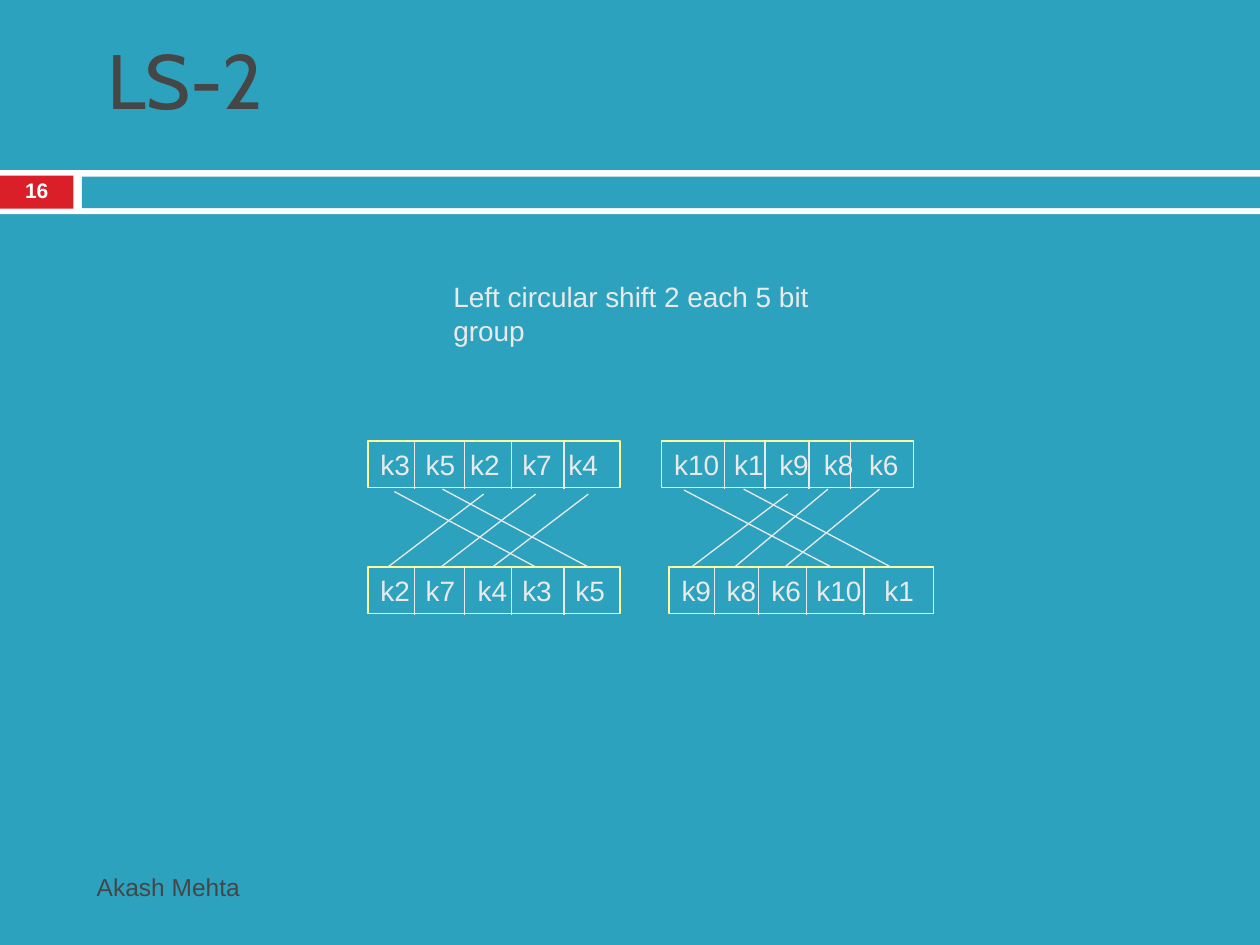
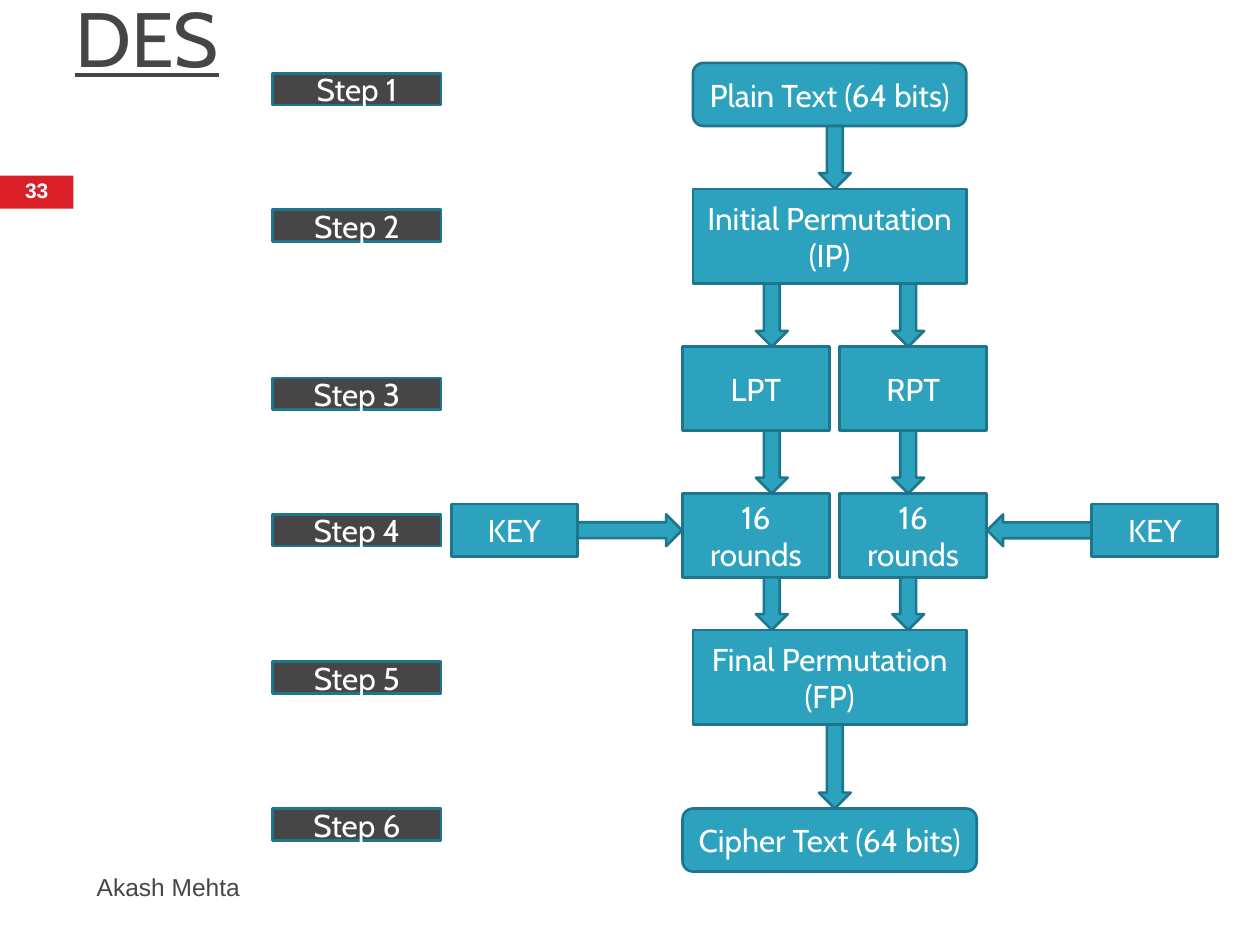
from dataclasses import dataclass

from lxml import etree
from pptx import Presentation
from pptx.dml.color import RGBColor
from pptx.enum import shapes, text
from pptx.oxml import ns
from pptx.util import Cm, Pt


@dataclass(frozen=True)
class Theme:
    teal: str = "2DA2BF"
    edge: str = "1E768C"
    red: str = "DA1F28"
    dark: str = "464646"
    white: str = "FFFFFF"
    pale: str = "EAEAEA"
    yellow: str = "FFFF99"
    head: str = "Cabin"
    body: str = "Arial"
    title_pt: int = 44
    step_pt: int = 18
    bit_pt: int = 16
    footer_pt: int = 14
    number_pt: int = 12
    thin: float = 0.75
    thick: float = 1.5


T = Theme()
KIND = shapes.MSO_SHAPE
CENTER = text.PP_ALIGN.CENTER
MIDDLE = text.MSO_ANCHOR.MIDDLE
TOP = text.MSO_ANCHOR.TOP

AUTHOR = "Akash Mehta"
SHIFT_NOTE = "Left circular shift 2 each 5 bit group"

IN_Y, OUT_Y, BIT_H = 8.89, 11.43, 0.94
LEFT_CUTS = [8.36, 9.37, 10.31, 11.37]
BIT_GROUPS = [
    dict(bits="k3 k5 k2 k7 k4", x=7.42, y=IN_Y, w=5.08,
         tabs=[0.91, 1.81, 2.86, 3.79], cuts=LEFT_CUTS),
    dict(bits="k2 k7 k4 k3 k5", x=7.42, y=OUT_Y, w=5.08,
         tabs=[0.91, 1.96, 2.86, 3.93], cuts=LEFT_CUTS),
    dict(bits="k10 k1 k9 k8 k6", x=13.34, y=IN_Y, w=5.08,
         tabs=[1.21, 2.12, 3.02, 3.93], cuts=[14.6, 15.42, 16.31, 17.15]),
    dict(bits="k9 k8 k6 k10 k1", x=13.49, y=OUT_Y, w=5.33,
         tabs=[0.91, 1.81, 2.72, 4.09], cuts=[14.4, 15.29, 16.26, 17.42]),
]
BIT_MOVES = [
    (9.75, 9.96, 7.82), (10.8, 9.96, 8.89), (11.86, 9.96, 9.93),
    (7.95, 9.91, 10.8), (8.92, 9.86, 11.86),
    (15.88, 9.96, 13.94), (16.69, 9.86, 14.81), (17.73, 9.86, 15.82),
    (13.79, 9.88, 16.76), (14.99, 9.86, 17.96),
]

WIDE = [(13.97, 5.51)]
PAIR = [(13.76, 2.96), (16.93, 2.96)]
STAGES = [
    (1.27, 1.27, KIND.ROUNDED_RECTANGLE, WIDE, ["Plain Text (64 bits)"]),
    (3.81, 1.91, KIND.RECTANGLE, WIDE, ["Initial Permutation (IP)"]),
    (6.99, 1.69, KIND.RECTANGLE, PAIR, ["LPT", "RPT"]),
    (9.95, 1.69, KIND.RECTANGLE, PAIR, ["16 rounds", "16 rounds"]),
    (12.7, 1.91, KIND.RECTANGLE, WIDE, ["Final Permutation (FP)"]),
    (16.3, 1.27, KIND.ROUNDED_RECTANGLE, [(13.76, 5.93)], ["Cipher Text (64 bits)"]),
]
STEP_TOPS = [1.48, 4.23, 7.62, 10.37, 13.34, 16.3]
SINGLE_ARROW = [16.51]
PAIR_ARROWS = [15.24, 17.99]
KEYS = [(9.1, 11.64, 0), (22.01, 19.9, 180)]
ARROW = 0.64


def write(s, words, size, color, font, align=None, anchor=MIDDLE,
          tabs=(), spacing=None, bold=None, underline=None):
    tf = s.text_frame
    tf.word_wrap = True
    tf.vertical_anchor = anchor
    p = tf.paragraphs[0]
    p.text = words
    p.alignment = align
    p.line_spacing = spacing
    if tabs:
        stops = etree.SubElement(p._p.get_or_add_pPr(), ns.qn("a:tabLst"))
        for pos in tabs:
            etree.SubElement(stops, ns.qn("a:tab"), pos=str(Cm(pos)), algn="l")
    f = p.font
    f.size, f.name, f.bold, f.underline = Pt(size), font, bold, underline
    f.color.rgb = RGBColor.from_string(color)


def add_text(slide, box, *args, **style):
    write(slide.shapes.add_textbox(*map(Cm, box)), *args, **style)


def add_box(slide, kind, box, fill=None, line=None, width=T.thick):
    s = slide.shapes.add_shape(kind, *map(Cm, box))
    s.shadow.inherit = False
    if fill:
        s.fill.solid()
        s.fill.fore_color.rgb = RGBColor.from_string(fill)
    else:
        s.fill.background()
    if line:
        s.line.color.rgb = RGBColor.from_string(line)
        s.line.width = Pt(width)
    else:
        s.line.fill.background()
    return s


def add_line(slide, x1, y1, x2, y2):
    c = slide.shapes.add_connector(
        shapes.MSO_CONNECTOR.STRAIGHT, Cm(x1), Cm(y1), Cm(x2), Cm(y2))
    c.line.color.rgb = RGBColor.from_string(T.pale)
    c.line.width = Pt(T.thin)
    etree.SubElement(c._element.spPr, ns.qn("a:effectLst"))


def add_node(slide, kind, box, words, fill=T.teal):
    s = add_box(slide, kind, box, fill, T.edge)
    write(s, words, T.step_pt, T.white, T.head, CENTER)


def start_slide(prs, background, title, title_box, number, band=False, underline=None):
    slide = prs.slides.add_slide(prs.slide_layouts[6])
    slide.background.fill.solid()
    slide.background.fill.fore_color.rgb = RGBColor.from_string(background)
    if band:
        add_box(slide, KIND.RECTANGLE, (0, 3.43, 25.4, 0.89), T.white)
        add_box(slide, KIND.RECTANGLE, (1.65, 3.56, 23.75, 0.64), T.teal)
    add_text(slide, title_box, title, T.title_pt, T.dark, T.head, underline=underline)
    badge = add_box(slide, KIND.RECTANGLE, (0, 3.54, 1.48, 0.67), T.red)
    write(badge, number, T.number_pt, T.white, T.body, CENTER, spacing=0.8, bold=True)
    add_text(slide, (1.7, 17.36, 15.06, 1.02), AUTHOR, T.footer_pt, T.dark, T.body)
    return slide


def build_shift(prs):
    slide = start_slide(prs, T.teal, "LS-2", (1.91, 0, 21.59, 3.18), "16", band=True)
    for g in BIT_GROUPS:
        s = add_box(slide, KIND.RECTANGLE, (g["x"], g["y"], g["w"], BIT_H),
                    line=T.yellow, width=T.thin)
        write(s, "\t".join(g["bits"].split()), T.bit_pt, T.pale, T.body,
              text.PP_ALIGN.LEFT, TOP, tabs=g["tabs"])
        for x in g["cuts"]:
            add_line(slide, x, g["y"], x, g["y"] + BIT_H + 0.02)
    add_text(slide, (8.89, 5.51, 8.89, 1.63), SHIFT_NOTE,
             T.bit_pt, T.pale, T.body, anchor=TOP)
    for x1, y1, x2 in BIT_MOVES:
        add_line(slide, x1, y1, x2, OUT_Y)


def build_des(prs):
    slide = start_slide(prs, T.white, "DES", (1.27, 0, 10.8, 1.47), "33", underline=True)
    for y, h, kind, columns, labels in STAGES:
        for (x, w), label in zip(columns, labels):
            add_node(slide, kind, (x, y, w, h), label)
    for (y, h, _, _, above), (end, _, _, _, below) in zip(STAGES, STAGES[1:]):
        split = len(above) > 1 or len(below) > 1
        for x in PAIR_ARROWS if split else SINGLE_ARROW:
            add_box(slide, KIND.DOWN_ARROW, (x, y + h, ARROW, end - y - h), T.teal, T.edge)
    for key_x, arrow_x, turn in KEYS:
        s = add_box(slide, KIND.RIGHT_ARROW, (arrow_x, 10.37, 2.11, ARROW), T.teal, T.edge)
        s.rotation = turn
        add_node(slide, KIND.RECTANGLE, (key_x, 10.16, 2.54, 1.06), "KEY")
    for n, y in enumerate(STEP_TOPS, 1):
        add_node(slide, KIND.RECTANGLE, (5.5, y, 3.39, 0.64), f"Step {n}", T.dark)


def main():
    prs = Presentation()
    prs.slide_width, prs.slide_height = Cm(25.4), Cm(19.05)
    build_shift(prs)
    build_des(prs)
    prs.save("out.pptx")


if __name__ == "__main__":
    main()
